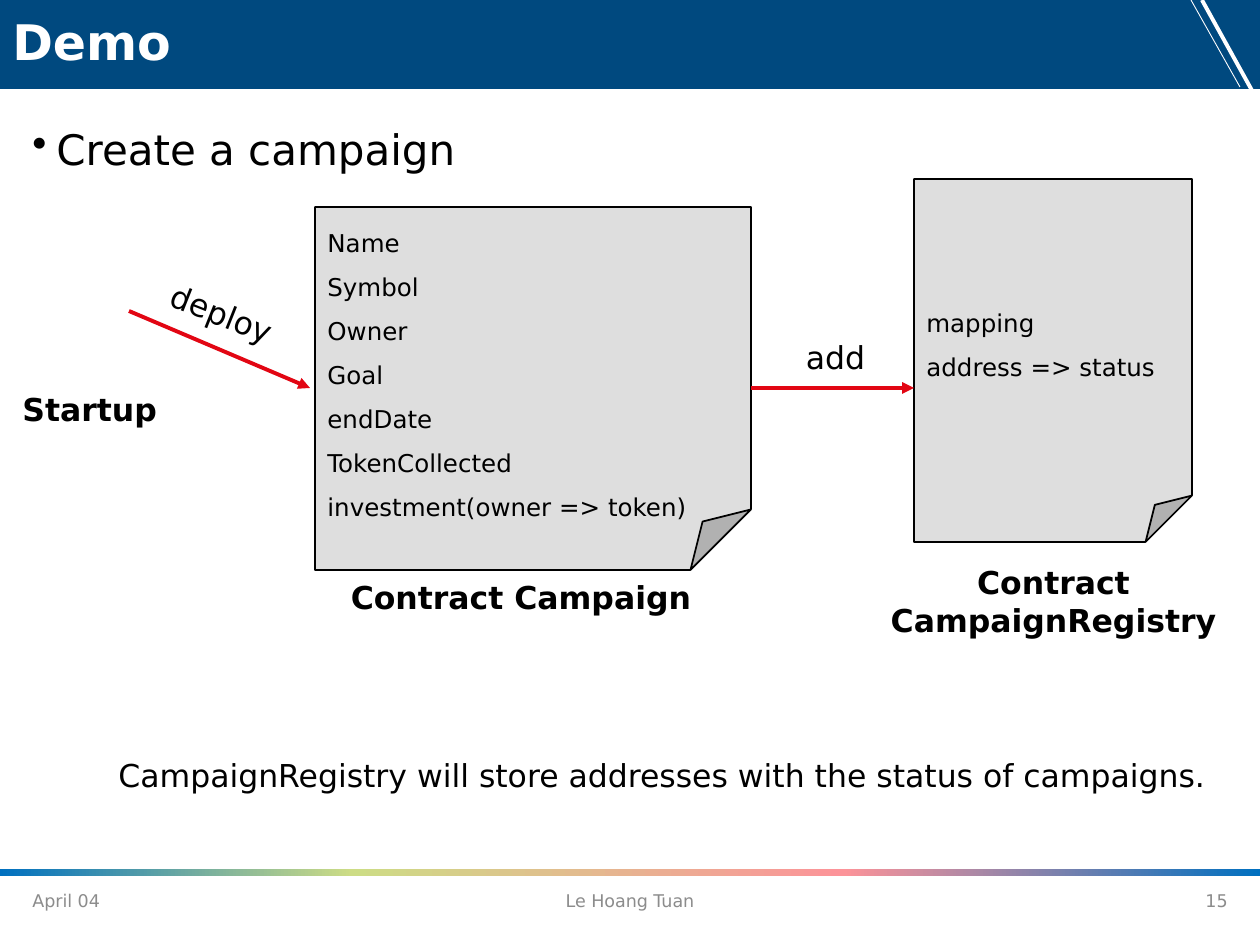
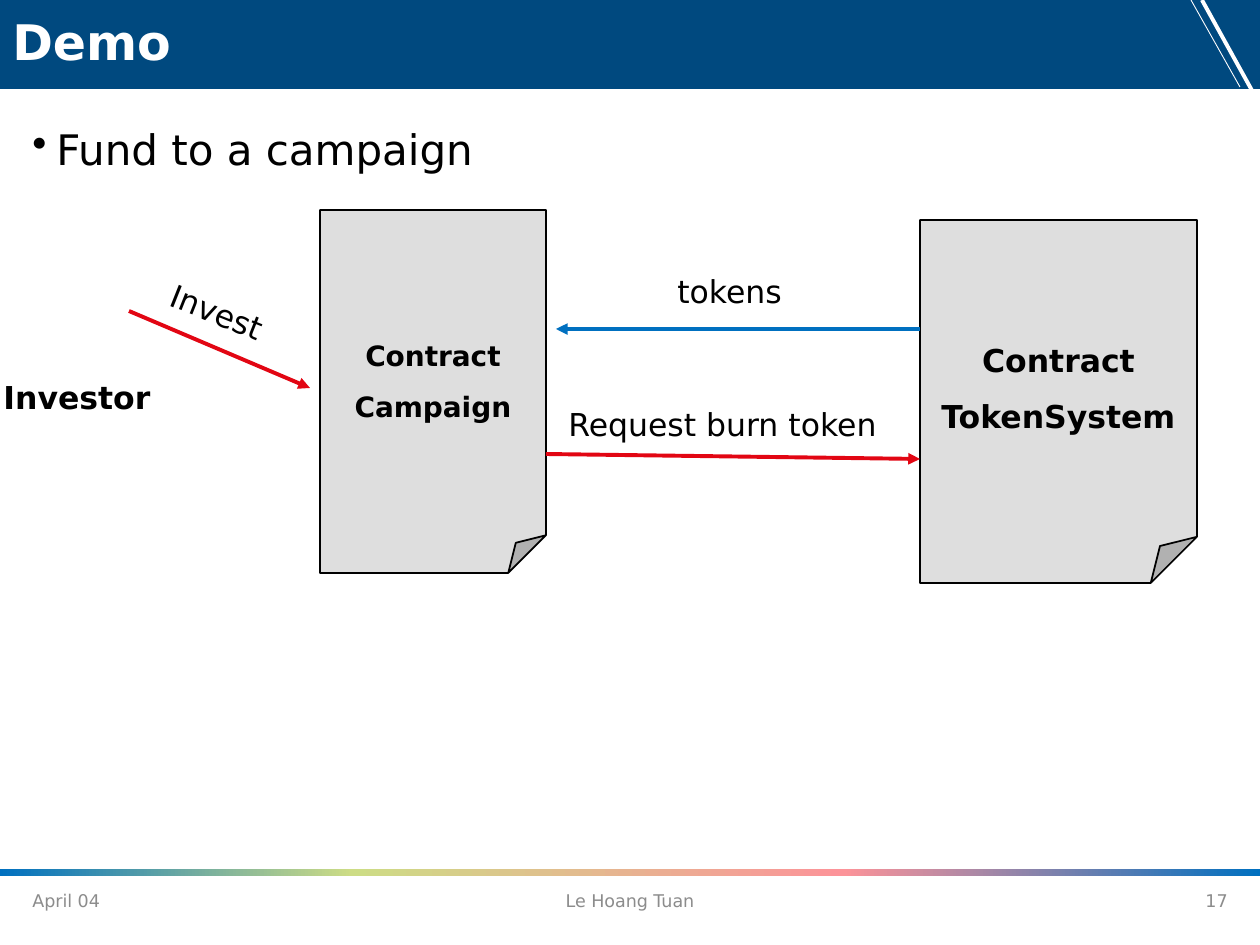
from dataclasses import dataclass

from lxml import etree
from pptx import Presentation
from pptx.dml.color import RGBColor
from pptx.enum.shapes import MSO_CONNECTOR, MSO_SHAPE
from pptx.enum.text import MSO_ANCHOR, MSO_AUTO_SIZE, PP_ALIGN
from pptx.oxml.ns import qn
from pptx.util import Emu, Pt

LEFT, CENTER, RIGHT = PP_ALIGN.LEFT, PP_ALIGN.CENTER, PP_ALIGN.RIGHT
TOP, MIDDLE = MSO_ANCHOR.TOP, MSO_ANCHOR.MIDDLE
RECTANGLE, FOLDED_CORNER = MSO_SHAPE.RECTANGLE, MSO_SHAPE.FOLDED_CORNER
STRAIGHT = MSO_CONNECTOR.STRAIGHT
FIT_SHAPE = MSO_AUTO_SIZE.SHAPE_TO_FIT_TEXT

PX_PER_INCH = 126
SLIDE_WIDTH, SLIDE_HEIGHT = 1260, 945
BAND_HEIGHT = 89
LABEL_HEIGHT = 50
ACTOR_ARROW = (129, 311, 310, 388)
ACTOR_ARROW_ANGLE = 21.8


@dataclass(frozen=True)
class Theme:
    font: str = "DejaVu Sans"
    band: str = "00497F"
    white: str = "FFFFFF"
    text: str = "000000"
    footer: str = "8C8C8C"
    note: str = "DEDEDE"
    red: str = "E20613"
    blue: str = "0070C0"
    rainbow: tuple = ((0, "0070C0"), (28, "CDDC85"), (67, "FC9399"), (100, "0070C0"))
    title_size: int = 28
    bullet_size: int = 24
    label_size: int = 18
    caption_size: int = 16
    field_size: int = 14
    footer_size: int = 10
    arrow_width: float = 2.25


THEME = Theme()


def px(length):
    return Emu(round(length * 914400 / PX_PER_INCH))


def rgb(color):
    return RGBColor.from_string(color)


def add_paragraph(text_frame, text, size, color=THEME.text, bold=False,
                  align=LEFT, line_spacing=None):
    """Fill the empty first paragraph, or append one after it."""
    paragraph = text_frame.paragraphs[0]
    if paragraph.runs:
        paragraph = text_frame.add_paragraph()
    paragraph.alignment = align
    if line_spacing:
        paragraph.line_spacing = line_spacing
    run = paragraph.add_run()
    run.text = text
    run.font.name = THEME.font
    run.font.size = Pt(size)
    run.font.bold = bold
    run.font.color.rgb = rgb(color)
    return paragraph


def add_text(slide, box, text, size, anchor=TOP, **style):
    """Add a wrapped text box; return it with its paragraph."""
    shape = slide.shapes.add_textbox(*map(px, box))
    shape.text_frame.word_wrap = True
    shape.text_frame.vertical_anchor = anchor
    return shape, add_paragraph(shape.text_frame, text, size, **style)


def add_label(slide, left, top, width, text, height=LABEL_HEIGHT, rotation=0, **style):
    shape, _ = add_text(slide, (left, top, width, height), text, THEME.label_size, **style)
    shape.text_frame.auto_size = FIT_SHAPE
    shape.rotation = rotation


def add_line(slide, ends, color, width):
    connector = slide.shapes.add_connector(STRAIGHT, *map(px, ends))
    connector.line.color.rgb = rgb(color)
    connector.line.width = Pt(width)
    etree.SubElement(connector._element.spPr, qn("a:effectLst"))
    return connector


def add_arrow(slide, ends, color=THEME.red):
    connector = add_line(slide, ends, color, THEME.arrow_width)
    line = connector._element.spPr.find(qn("a:ln"))
    etree.SubElement(line, qn("a:tailEnd"), type="triangle")


def add_band(slide, top, height):
    """Add a full-width bar without outline."""
    shape = slide.shapes.add_shape(
        RECTANGLE, 0, px(top), px(SLIDE_WIDTH), px(height))
    shape.shadow.inherit = False
    shape.line.fill.background()
    return shape


def fill_gradient(shape, stops):
    shape.fill.gradient()
    shape.fill.gradient_angle = 0
    stop_list = shape._element.spPr.find(".//" + qn("a:gsLst"))
    for old_stop in list(stop_list):
        stop_list.remove(old_stop)
    for percent, color in stops:
        stop = etree.SubElement(stop_list, qn("a:gs"), pos=str(percent * 1000))
        etree.SubElement(stop, qn("a:srgbClr"), val=color)


def add_contract(slide, box, lines, size, anchor=MIDDLE, **style):
    """Add a contract as a sheet with a folded corner."""
    shape = slide.shapes.add_shape(FOLDED_CORNER, *map(px, box))
    shape.shadow.inherit = False
    shape.fill.solid()
    shape.fill.fore_color.rgb = rgb(THEME.note)
    shape.line.color.rgb = rgb(THEME.text)
    shape.line.width = Pt(1)
    shape.text_frame.word_wrap = True
    shape.text_frame.vertical_anchor = anchor
    for line in lines:
        add_paragraph(shape.text_frame, line, size, line_spacing=1.5, **style)


def add_bullet(slide, text):
    _, paragraph = add_text(slide, (20, 110, 1221, 69), text,
                            THEME.bullet_size, line_spacing=1.14)
    paragraph.space_before = paragraph.space_after = Pt(6)
    properties = paragraph._p.get_or_add_pPr()
    properties.set("marL", str(px(24)))
    properties.set("indent", str(px(-24)))
    etree.SubElement(properties, qn("a:buChar"), char="•")


def add_footer(slide, number):
    for left, width, text, align in (
        (20, 284, "April 04", LEFT),
        (417, 426, "Le Hoang Tuan", CENTER),
        (956, 284, str(number), RIGHT),
    ):
        add_text(slide, (left, 876, width, 50), text, THEME.footer_size,
                 anchor=MIDDLE, color=THEME.footer, align=align)


def add_demo_slide(presentation, number, topic):
    """Add a slide with the shared band, title, bullet and footer."""
    slide = presentation.slides.add_slide(presentation.slide_layouts[6])
    title_band = add_band(slide, 0, BAND_HEIGHT)
    title_band.fill.solid()
    title_band.fill.fore_color.rgb = rgb(THEME.band)
    fill_gradient(add_band(slide, 869, 7), THEME.rainbow)
    add_line(slide, (1191, 0, 1240, 87), THEME.white, 0.5)
    add_line(slide, (1202, 0, 1260, 105), THEME.white, 2.25)
    add_footer(slide, number)
    add_bullet(slide, topic)
    _, title = add_text(slide, (0, 0, SLIDE_WIDTH, BAND_HEIGHT), "Demo",
                        THEME.title_size, anchor=MIDDLE, color=THEME.white,
                        bold=True, line_spacing=0.9)
    title.space_before = Pt(7.5)
    return slide


def add_actor_action(slide, action):
    """Add the slanted arrow from the actor with its parallel label."""
    add_arrow(slide, ACTOR_ARROW)
    add_label(slide, 155, 295, 166, action, rotation=ACTOR_ARROW_ANGLE)


def build_create_slide(presentation):
    slide = add_demo_slide(presentation, 15, "Create a campaign")
    add_label(slide, 106, 750, 1131,
              "CampaignRegistry will store addresses with the status of campaigns.")
    campaign_fields = ("Name", "Symbol", "Owner", "Goal", "endDate",
                       "TokenCollected", "investment(owner => token)")
    add_contract(slide, (315, 207, 436, 363), campaign_fields,
                 THEME.field_size, anchor=TOP)
    add_label(slide, 303, 572, 436, "Contract Campaign", bold=True, align=CENTER)
    add_label(slide, 10, 384, 166, "Startup", bold=True)
    add_actor_action(slide, "deploy")
    add_contract(slide, (914, 179, 278, 363), ("mapping", "address => status"),
                 THEME.field_size)
    add_label(slide, 869, 557, 369, "Contract CampaignRegistry", height=89,
              bold=True, align=CENTER)
    add_arrow(slide, (751, 388, 914, 388))
    add_label(slide, 761, 332, 149, "add", align=CENTER)


def build_fund_slide(presentation):
    slide = add_demo_slide(presentation, 17, "Fund to a campaign")
    add_contract(slide, (320, 210, 226, 363), ("Contract Campaign",),
                 THEME.caption_size, bold=True, align=CENTER)
    add_label(slide, -9, 372, 205, "Investor", bold=True)
    add_actor_action(slide, "Invest")
    add_contract(slide, (920, 220, 277, 363), ("Contract TokenSystem",),
                 THEME.label_size, bold=True, align=CENTER)
    add_arrow(slide, (546, 454, 920, 459))
    add_arrow(slide, (920, 329, 556, 329), THEME.blue)
    add_label(slide, 665, 266, 140, "tokens")
    add_label(slide, 556, 399, 364, "Request burn token")


def main():
    presentation = Presentation()
    presentation.slide_width = px(SLIDE_WIDTH)
    presentation.slide_height = px(SLIDE_HEIGHT)
    build_create_slide(presentation)
    build_fund_slide(presentation)
    presentation.save("out.pptx")


if __name__ == "__main__":
    main()
